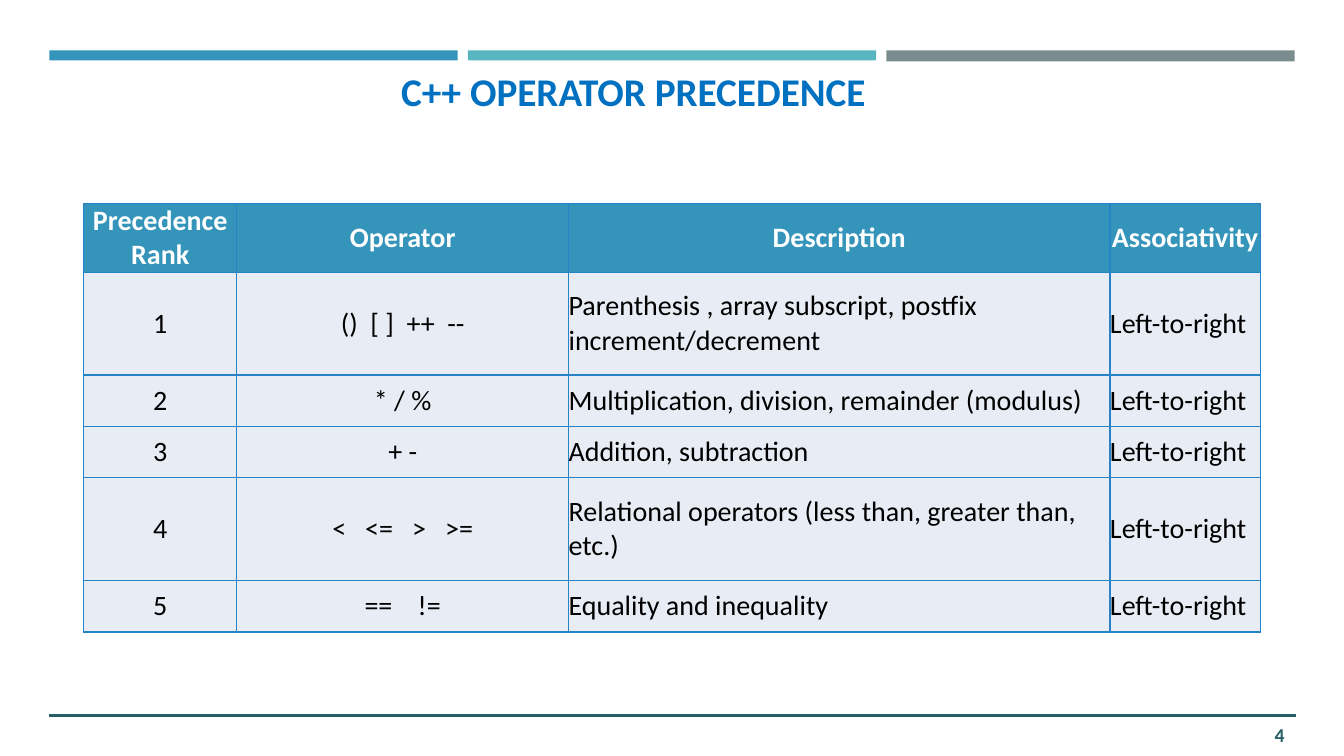
from lxml import etree
from pptx import Presentation
from pptx.dml.color import RGBColor
from pptx.enum.shapes import MSO_CONNECTOR, MSO_SHAPE
from pptx.enum.text import MSO_ANCHOR, PP_ALIGN
from pptx.oxml.ns import qn
from pptx.util import Inches, Pt

# Content
TITLE = "C++ OPERATOR PRECEDENCE"
PAGE_NUMBER = "4"
HEADERS = ["Precedence Rank", "Operator", "Description", "Associativity"]
ASSOCIATIVITY = "Left-to-right"
OPERATORS = [
    ("()  [ ]  ++  --", "Parenthesis , array subscript, postfix increment/decrement"),
    ("* / %", "Multiplication, division, remainder (modulus)"),
    ("+ -", "Addition, subtraction"),
    ("<   <=   >   >=", "Relational operators (less than, greater than, etc.)"),
    ("==    !=", "Equality and inequality"),
]
COLUMN_WIDTHS = [1.52, 3.29, 5.37, 1.49]
ROW_HEIGHTS = [0.68, 1.02, 0.51, 0.51, 1.02, 0.51]

# Style
FONT = "Calibri"
WHITE = RGBColor(0xFF, 0xFF, 0xFF)
BLACK = RGBColor(0x00, 0x00, 0x00)
BLUE = RGBColor(0x34, 0x94, 0xBA)
TEAL = RGBColor(0x58, 0xB6, 0xC0)
GRAY = RGBColor(0x7A, 0x8C, 0x8E)
DARK_TEAL = RGBColor(0x26, 0x60, 0x66)
TITLE_BLUE = RGBColor(0x00, 0x70, 0xC0)
BORDER = RGBColor(0x26, 0x83, 0xC6)
CELL_FILL = RGBColor(0xE8, 0xED, 0xF5)
BARS = [(BLUE, 0.1), (TEAL, 0.1), (GRAY, 0.11)]
BAR_LEFT, BAR_STEP, BAR_WIDTH = 0.49, 4.15, 4.05


def write(frame, text, size=20, color=BLACK, bold=False, align=PP_ALIGN.LEFT):
    para = frame.paragraphs[0]
    para.alignment = align
    span = para.add_run()
    span.text = text
    span.font.name = FONT
    span.font.size = Pt(size)
    span.font.bold = bold
    span.font.color.rgb = color


def add_text(page, place, text, anchor=MSO_ANCHOR.TOP, **style):
    box = page.shapes.add_textbox(*map(Inches, place))
    box.text_frame.word_wrap = True
    box.text_frame.vertical_anchor = anchor
    write(box.text_frame, text, **style)


def set_borders(cell):
    properties = cell._tc.get_or_add_tcPr()
    for index, side in enumerate(("lnL", "lnR", "lnT", "lnB")):
        line = etree.Element(qn(f"a:{side}"), w=str(Pt(1)))
        fill = etree.SubElement(line, qn("a:solidFill"))
        etree.SubElement(fill, qn("a:srgbClr"), val=str(BORDER))
        properties.insert(index, line)


def add_decoration(page):
    for index, (color, height) in enumerate(BARS):
        left = BAR_LEFT + index * BAR_STEP
        bar = page.shapes.add_shape(
            MSO_SHAPE.RECTANGLE, Inches(left), Inches(0.5), Inches(BAR_WIDTH), Inches(height))
        bar.shadow.inherit = False
        bar.fill.solid()
        bar.fill.fore_color.rgb = color
        bar.line.fill.background()
    rule = page.shapes.add_connector(
        MSO_CONNECTOR.STRAIGHT, Inches(12.85), Inches(7.1), Inches(BAR_LEFT), Inches(7.1))
    rule.line.color.rgb = DARK_TEAL
    rule.line.width = Pt(2.25)
    etree.SubElement(rule._element.spPr, qn("a:effectLst"))


def add_precedence_table(page):
    rows = [HEADERS] + [
        (str(rank), operator, description, ASSOCIATIVITY)
        for rank, (operator, description) in enumerate(OPERATORS, 1)]
    table = page.shapes.add_table(
        len(rows), len(HEADERS), Inches(0.83), Inches(2.02),
        Inches(sum(COLUMN_WIDTHS)), Inches(sum(ROW_HEIGHTS))).table
    for column, width in zip(table.columns, COLUMN_WIDTHS):
        column.width = Inches(width)
    for row, height in zip(table.rows, ROW_HEIGHTS):
        row.height = Inches(height)
    for row_index, texts in enumerate(rows):
        header = row_index == 0
        for column_index, text in enumerate(texts):
            cell = table.cell(row_index, column_index)
            cell.margin_left = cell.margin_right = cell.margin_top = cell.margin_bottom = 0
            cell.vertical_anchor = MSO_ANCHOR.MIDDLE
            cell.fill.solid()
            cell.fill.fore_color.rgb = BLUE if header else CELL_FILL
            set_borders(cell)
            centered = header or column_index < 2
            write(cell.text_frame, text, bold=header, color=WHITE if header else BLACK,
                  align=PP_ALIGN.CENTER if centered else PP_ALIGN.LEFT)


def main():
    deck = Presentation()
    deck.slide_width, deck.slide_height = Inches(13.33), Inches(7.5)
    page = deck.slides.add_slide(deck.slide_layouts[6])
    add_decoration(page)
    add_text(page, (12.38, 7.09, 0.46, 0.4), PAGE_NUMBER, anchor=MSO_ANCHOR.MIDDLE,
             size=14, color=DARK_TEAL, bold=True, align=PP_ALIGN.RIGHT)
    add_precedence_table(page)
    add_text(page, (3.88, 0.62, 6.66, 0.57), TITLE, size=28, color=TITLE_BLUE, bold=True)
    deck.save("out.pptx")


if __name__ == "__main__":
    main()
